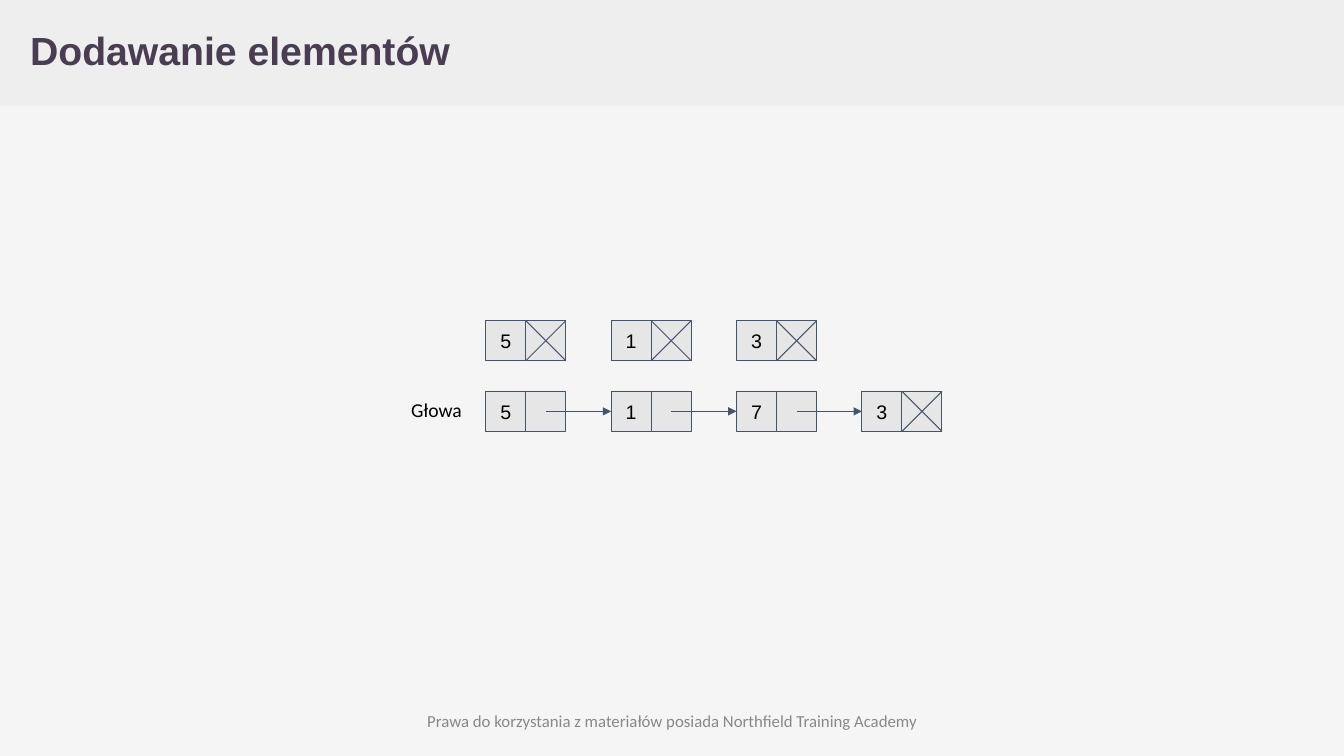
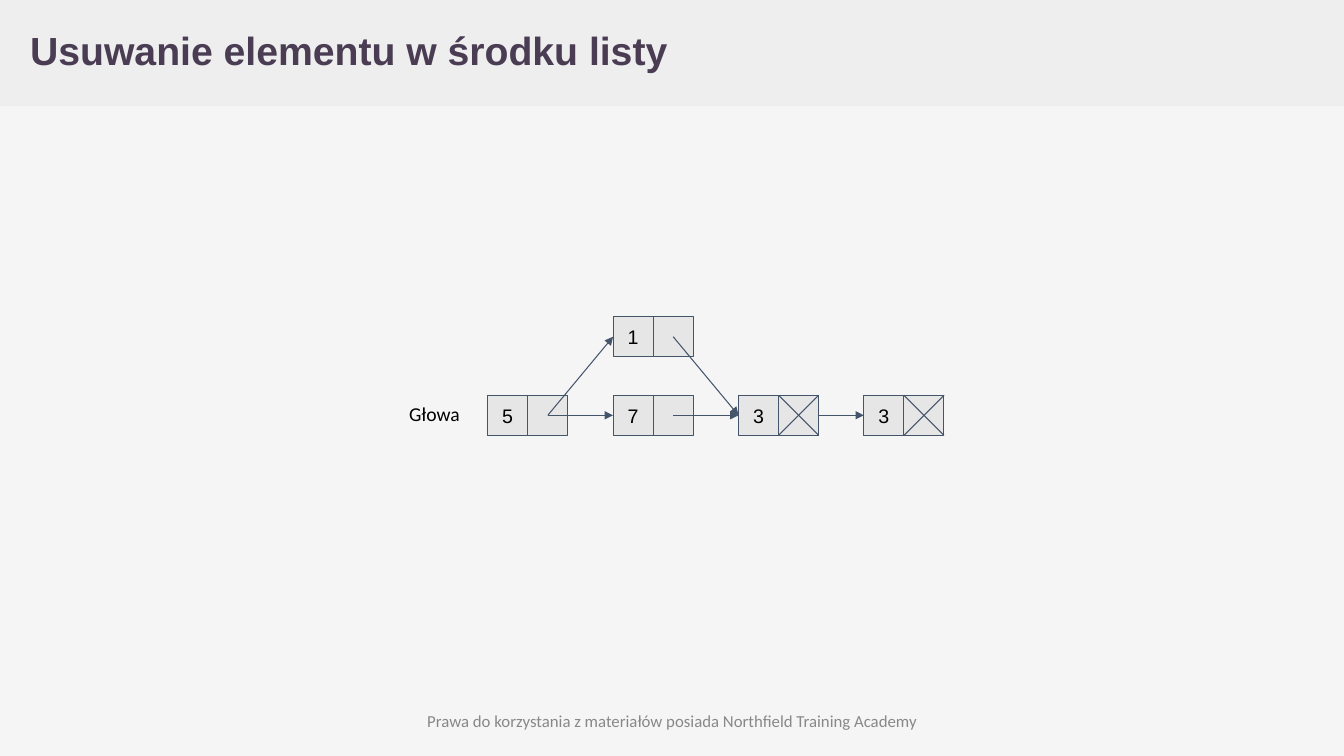
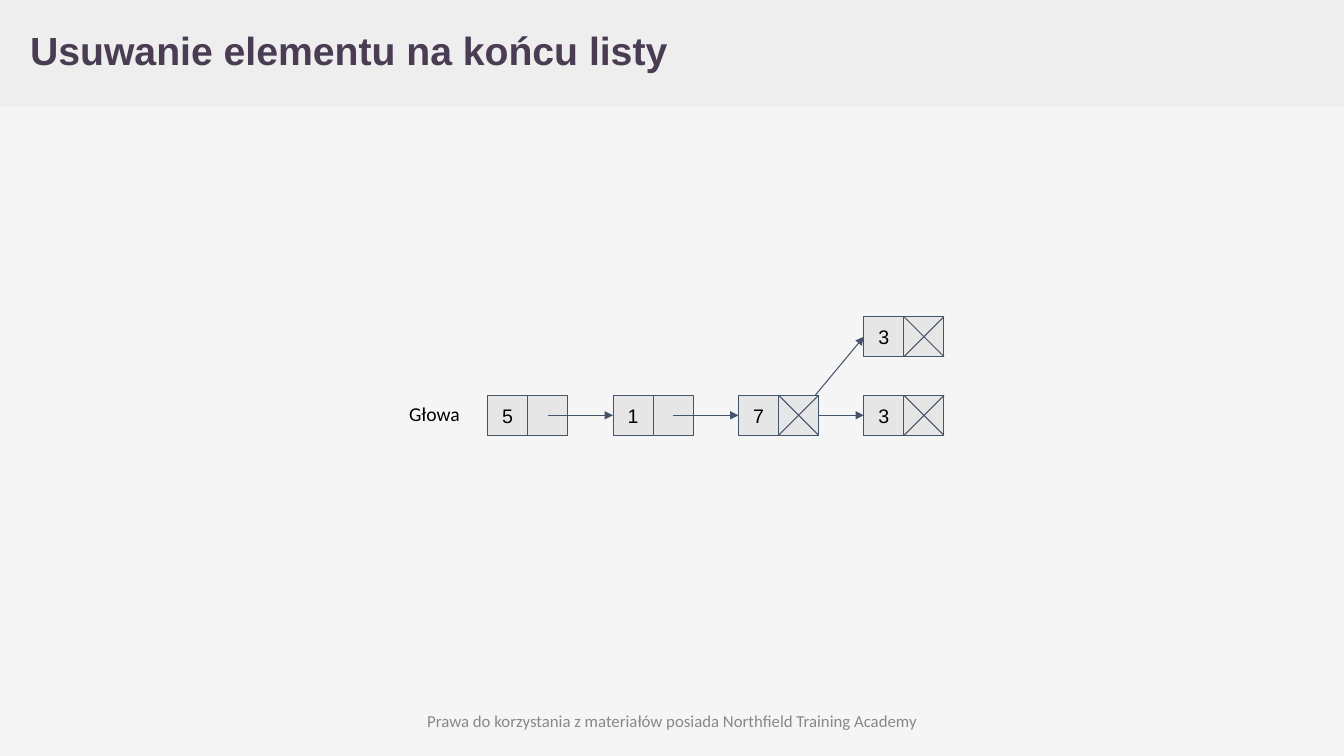
"""Build three slides about adding and removing elements of a linked list."""
from pptx import Presentation
from pptx.dml.color import RGBColor
from pptx.enum.shapes import MSO_CONNECTOR, MSO_SHAPE
from pptx.enum.text import MSO_ANCHOR, PP_ALIGN
from pptx.oxml.ns import qn
from pptx.util import Cm, Pt
from lxml.etree import SubElement

BACKGROUND = RGBColor(0xF5, 0xF5, 0xF5)
BAND = RGBColor(0xEE, 0xEE, 0xEE)
TITLE = RGBColor(0x4A, 0x3D, 0x53)
FOOTER = RGBColor(0x88, 0x88, 0x88)
CELL_FILL = RGBColor(0xE7, 0xE6, 0xE6)
OUTLINE = RGBColor(0x44, 0x54, 0x6A)
BLACK = RGBColor(0, 0, 0)

WIDTH, HEIGHT, BAND_HEIGHT = Cm(33.87), Cm(19.05), Cm(2.67)
CELL, COLUMN_STEP = Cm(1.01), Cm(3.16)
FOOTER_TEXT = "Prawa do korzystania z materiałów posiada Northfield Training Academy"
HEAD_TEXT = "Głowa"
UPPER, LOWER = 0, 1

ADDING = {"left": Cm(12.24), "rows": (Cm(8.08), Cm(9.86)), "label_left": Cm(10.11)}
REMOVING = {"left": Cm(12.29), "rows": (Cm(7.98), Cm(9.96)), "label_left": Cm(10.06)}

# Nodes: (row, column): (value, is_last). Arrows: (from position, to position).
SLIDES = [
    {
        "title": "Dodawanie elementów",
        "grid": ADDING,
        "nodes": {
            (UPPER, 0): ("5", True), (UPPER, 1): ("1", True), (UPPER, 2): ("3", True),
            (LOWER, 0): ("5", False), (LOWER, 1): ("1", False),
            (LOWER, 2): ("7", False), (LOWER, 3): ("3", True),
        },
        "arrows": [((LOWER, column), (LOWER, column + 1)) for column in range(3)],
    },
    {
        "title": "Usuwanie elementu w środku listy",
        "grid": REMOVING,
        "nodes": {
            (UPPER, 1): ("1", False),
            (LOWER, 0): ("5", False), (LOWER, 1): ("7", False),
            (LOWER, 2): ("3", True), (LOWER, 3): ("3", True),
        },
        "arrows": [((LOWER, column), (LOWER, column + 1)) for column in range(3)]
        + [((LOWER, 0), (UPPER, 1)), ((UPPER, 1), (LOWER, 2))],
    },
    {
        "title": "Usuwanie elementu na końcu listy",
        "grid": REMOVING,
        "nodes": {
            (UPPER, 3): ("3", True),
            (LOWER, 0): ("5", False), (LOWER, 1): ("1", False),
            (LOWER, 2): ("7", True), (LOWER, 3): ("3", True),
        },
        "arrows": [((LOWER, column), (LOWER, column + 1)) for column in range(3)]
        + [((LOWER, 2), (UPPER, 3))],
    },
]


def write(shape, text, size, font_name, color, bold=False, align=PP_ALIGN.LEFT):
    paragraph = shape.text_frame.paragraphs[0]
    paragraph.text = text
    paragraph.alignment = align
    paragraph.font.size = Pt(size)
    paragraph.font.name = font_name
    paragraph.font.bold = bold
    paragraph.font.color.rgb = color
    return paragraph


def add_text_box(slide, left, top, width, height, anchor):
    box = slide.shapes.add_textbox(left, top, width, height)
    box.text_frame.word_wrap = True
    box.text_frame.vertical_anchor = anchor
    return box


def add_rectangle(shapes, left, top, width, height, fill):
    rectangle = shapes.add_shape(MSO_SHAPE.RECTANGLE, left, top, width, height)
    rectangle.shadow.inherit = False
    rectangle.fill.solid()
    rectangle.fill.fore_color.rgb = fill
    rectangle.line.fill.background()
    return rectangle


def add_line(shapes, start, end, arrow=False):
    line = shapes.add_connector(MSO_CONNECTOR.STRAIGHT, *start, *end)
    line.line.color.rgb = OUTLINE
    line.line.width = Pt(0.75)
    properties = line._element.spPr
    if arrow:
        SubElement(properties.find(qn("a:ln")), qn("a:tailEnd"), type="triangle")
    SubElement(properties, qn("a:effectLst"))


def add_node(slide, left, top, value, is_last):
    shapes = slide.shapes.add_group_shape().shapes
    middle, right, bottom = left + CELL, left + 2 * CELL, top + CELL
    for cell_left, text in ((left, value), (middle, "")):
        cell = add_rectangle(shapes, cell_left, top, CELL, CELL, CELL_FILL)
        cell.line.color.rgb = OUTLINE
        cell.line.width = Pt(0.75)
        if text:
            cell.text_frame.vertical_anchor = MSO_ANCHOR.MIDDLE
            write(cell, text, 14, "Arial", BLACK, align=PP_ALIGN.CENTER)
    if is_last:
        add_line(shapes, (middle, top), (right, bottom))
        add_line(shapes, (middle, bottom), (right, top))


def add_frame(slide, title):
    add_rectangle(slide.shapes, 0, 0, WIDTH, BAND_HEIGHT, BAND)
    box = add_text_box(slide, 0, 0, Cm(30.28), BAND_HEIGHT, MSO_ANCHOR.MIDDLE)
    box.text_frame.margin_left = Cm(0.76)
    write(box, title, 28, "Arial", TITLE, bold=True).line_spacing = 0.9
    footer = add_text_box(slide, Cm(9.58), Cm(17.65), Cm(14.73), Cm(1.02), MSO_ANCHOR.MIDDLE)
    write(footer, FOOTER_TEXT, 12, "Calibri", FOOTER, align=PP_ALIGN.CENTER)


def add_list(slide, grid, nodes, arrows):
    def corner(position):
        row, column = position
        return grid["left"] + column * COLUMN_STEP, grid["rows"][row]

    def add_arrows(from_last):
        for source, target in arrows:
            if nodes[source][1] == from_last:
                left, top = corner(source)
                target_left, target_top = corner(target)
                start = (left + CELL * 3 // 2, top + CELL // 2)
                add_line(slide.shapes, start, (target_left, target_top + CELL // 2), arrow=True)

    label_top = grid["rows"][LOWER] - Cm(0.08)
    label = add_text_box(slide, grid["label_left"], label_top, Cm(2.03), Cm(1.19), MSO_ANCHOR.TOP)
    label.text_frame.margin_top = Cm(0.25)
    write(label, HEAD_TEXT, 14, "Calibri", BLACK)
    add_arrows(from_last=True)
    for position, (value, is_last) in nodes.items():
        add_node(slide, *corner(position), value, is_last)
    add_arrows(from_last=False)


def main():
    presentation = Presentation()
    presentation.slide_width, presentation.slide_height = WIDTH, HEIGHT
    background = presentation.slide_master.background.fill
    background.solid()
    background.fore_color.rgb = BACKGROUND
    for content in SLIDES:
        slide = presentation.slides.add_slide(presentation.slide_layouts[6])
        add_frame(slide, content["title"])
        add_list(slide, content["grid"], content["nodes"], content["arrows"])
    presentation.save("out.pptx")


if __name__ == "__main__":
    main()
